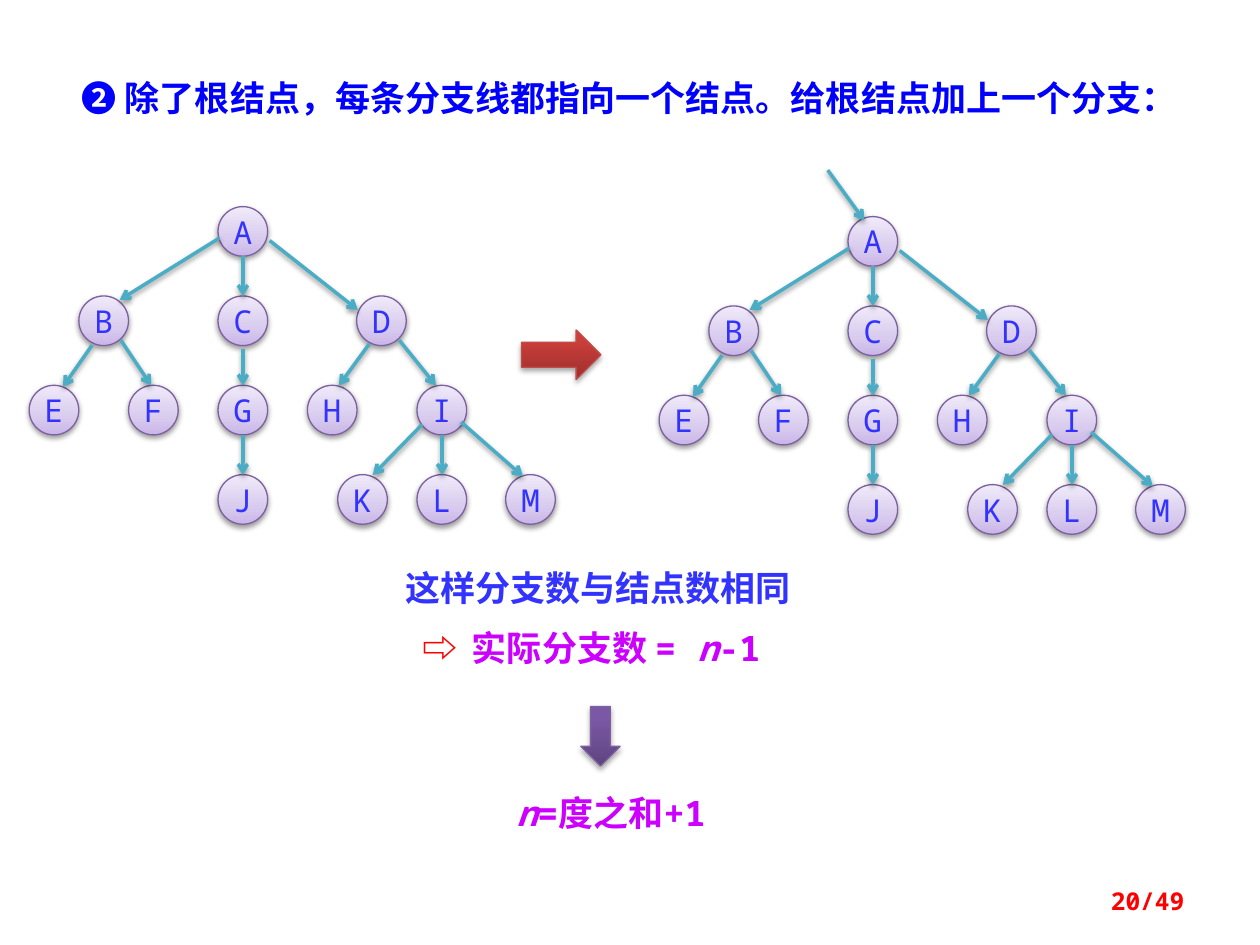
"""Build a slide that shows why a tree's node count is its degree sum plus one."""
from lxml import etree
from pptx import Presentation
from pptx.dml.color import RGBColor
from pptx.enum.shapes import MSO_CONNECTOR, MSO_SHAPE
from pptx.enum.text import MSO_ANCHOR, MSO_AUTO_SIZE, PP_ALIGN
from pptx.oxml.ns import qn
from pptx.util import Pt

OVAL, RIGHT_ARROW, DOWN_ARROW = MSO_SHAPE.OVAL, MSO_SHAPE.RIGHT_ARROW, MSO_SHAPE.DOWN_ARROW
STRAIGHT = MSO_CONNECTOR.STRAIGHT
LEFT, CENTER, RIGHT = PP_ALIGN.LEFT, PP_ALIGN.CENTER, PP_ALIGN.RIGHT
TOP, MIDDLE = MSO_ANCHOR.TOP, MSO_ANCHOR.MIDDLE
FONT = "Noto Sans Mono"
COLORS = {
    "title": "0000FF", "text": "3333FF", "formula": "CC00FF", "accent": "FF0000",
    "edge": "4BACC6", "purple": "7D60A0", "red": "BF4C48", "black": "000000",
}
GRADIENTS = {
    "node": [(0, "C9B5E8"), (35, "D8CBEE"), (100, "F0EAF9")],
    "red": [(0, "9C2F2D"), (80, "CB3E3A"), (100, "CE3B37")],
    "purple": [(0, "5F4480"), (80, "7B58A6"), (100, "7C57A8")],
}
NODE_SIZE, ROOT_TOP, ROW_STEP = 28.35, 118.1, 51.05
LEVELS = [
    {"A": 124.6},
    {"B": 45.1, "C": 124.6, "D": 203.8},
    {"E": 16.7, "F": 73.5, "G": 124.6, "H": 175.7, "I": 238.3},
    {"J": 124.6, "K": 193, "L": 238.3, "M": 289},
]
EDGES = [
    (125.3, 136.1, 68.4, 171.4), (138.8, 146.4, 138.8, 169.2), (154.1, 137.5, 204.5, 177.1),
    (52.6, 197.3, 36, 221), (69.1, 194.4, 86.4, 220.3), (138.8, 199.4, 138.8, 220.3),
    (211, 196.6, 193.7, 220.3), (228.2, 194.4, 249.1, 220.3), (138.8, 248.5, 138.8, 271.4),
    (241.2, 242.6, 213.1, 271.4), (252.6, 248.5, 252.6, 271.4), (263.5, 241.2, 298.8, 272.2),
]
ROOT_EDGE = (113, 91.5, 133.9, 120.3)


def rgb(name):
    """Return the named colour."""
    return RGBColor.from_string(COLORS[name])


def add_shadow(sp, alpha=38, dist=1.6):
    """Give a shape or connector a soft shadow straight below it."""
    effects = etree.SubElement(sp._element.spPr, qn("a:effectLst"))
    shadow = etree.SubElement(effects, qn("a:outerShdw"), blurRad=str(Pt(3.1)),
                              dist=str(Pt(dist)), dir="5400000", rotWithShape="0")
    color = etree.SubElement(shadow, qn("a:srgbClr"), val=COLORS["black"])
    etree.SubElement(color, qn("a:alpha"), val=str(alpha * 1000))


def add_gradient_shape(shapes, kind, box, gradient, line, alpha=38, dist=1.6):
    """Add a preset shape with an upward gradient, thin outline and shadow."""
    sp = shapes.add_shape(kind, *(Pt(v) for v in box))
    sp.fill.gradient()
    sp.fill.gradient_angle = 90
    stops = sp._element.spPr.find(".//" + qn("a:gsLst"))
    for stop in list(stops):
        stops.remove(stop)
    for pos, color in GRADIENTS[gradient]:
        stop = etree.SubElement(stops, qn("a:gs"), pos=str(pos * 1000))
        etree.SubElement(stop, qn("a:srgbClr"), val=color)
    sp.line.color.rgb = rgb(line)
    sp.line.width = Pt(0.75)
    add_shadow(sp, alpha, dist)
    return sp


def format_run(r, color, size=20, bold=True, italic=False):
    """Set the font of a run."""
    r.font.name, r.font.size = FONT, Pt(size)
    r.font.bold, r.font.italic = bold, italic
    r.font.color.rgb = rgb(color)


def add_runs(p, runs):
    """Append (text, colour, italic) runs to a paragraph."""
    for text, color, italic in runs:
        r = p.add_run()
        r.text = text
        format_run(r, color, italic=italic)


def add_node(shapes, label, x, y):
    """Add a labelled tree node."""
    sp = add_gradient_shape(shapes, OVAL, (x, y, NODE_SIZE, NODE_SIZE), "node", "purple")
    tf = sp.text_frame
    tf.word_wrap = False
    tf.vertical_anchor = MIDDLE
    tf.text = label
    p = tf.paragraphs[0]
    p.alignment = CENTER
    format_run(p.runs[0], "text", 18, bold=False)


def add_edge(shapes, x1, y1, x2, y2):
    """Add an arrow from a parent to a child."""
    cxn = shapes.add_connector(STRAIGHT, Pt(x1), Pt(y1), Pt(x2), Pt(y2))
    cxn.line.color.rgb = rgb("edge")
    cxn.line.width = Pt(2)
    etree.SubElement(cxn.line._get_or_add_ln(), qn("a:tailEnd"), type="arrow")
    add_shadow(cxn)


def add_tree(s, edges, dx=0, dy=0):
    """Add the whole tree as one group, shifted by dx and dy."""
    shapes = s.shapes.add_group_shape().shapes
    for depth, level in enumerate(LEVELS):
        for label, x in level.items():
            add_node(shapes, label, x + dx, ROOT_TOP + depth * ROW_STEP + dy)
    for x1, y1, x2, y2 in edges:
        add_edge(shapes, x1 + dx, y1 + dy, x2 + dx, y2 + dy)


def place_text(sp, box, anchor, align):
    """Move a text shape and set its frame; return its first paragraph."""
    sp.left, sp.top, sp.width, sp.height = (Pt(v) for v in box)
    tf = sp.text_frame
    tf.word_wrap = True
    tf.auto_size = MSO_AUTO_SIZE.NONE
    tf.vertical_anchor = anchor
    p = tf.paragraphs[0]
    p.alignment = align
    return p


def add_text(s, box, runs, anchor=MIDDLE, align=LEFT):
    """Add a text box with one paragraph and return its frame."""
    sp = s.shapes.add_textbox(0, 0, 0, 0)
    add_runs(place_text(sp, box, anchor, align), runs)
    return sp.text_frame


def add_conclusion(s):
    """Add the two lines that compare branches with nodes."""
    tf = add_text(s, (224.6, 320.4, 315.4, 67.7),
                  [("这样分支数与结点数相同", "text", False)], TOP)
    p = tf.add_paragraph()
    p.space_before = Pt(10)
    pPr = p._p.get_or_add_pPr()
    pPr.set("marL", str(Pt(38)))
    pPr.set("indent", str(Pt(-28.5)))
    add_runs(p, [("⇨\t", "accent", False), ("实际分支数 = ", "formula", False),
                 ("n", "formula", True), ("-1", "formula", False)])


def main():
    """Build and save the slide."""
    prs = Presentation()
    prs.slide_width, prs.slide_height = Pt(720), Pt(540)
    s = prs.slides.add_slide(prs.slide_layouts[5])
    p = place_text(s.shapes.title, (39.6, 39.6, 658, 31.7), MIDDLE, LEFT)
    p.text = "❷ 除了根结点，每条分支线都指向一个结点。给根结点加上一个分支："
    format_run(p.runs[0], "title")

    add_tree(s, EDGES)
    add_gradient_shape(s.shapes, RIGHT_ARROW, (298, 188.6, 45.4, 28.35), "red", "red", 35, 1.8)
    add_tree(s, EDGES + [ROOT_EDGE], 360, 5.7)

    add_conclusion(s)
    add_gradient_shape(s.shapes, DOWN_ARROW, (331.9, 403.7, 22.5, 34), "purple", "purple", 35, 1.8)
    add_text(s, (253.4, 448.6, 191.5, 31.7),
             [("n", "formula", True), ("=度之和+1", "formula", False)], align=CENTER)
    tf = add_text(s, (516.2, 500.4, 167.8, 28.8), [("20/49", "accent", False)], align=RIGHT)
    tf.paragraphs[0].runs[0].font.size = Pt(14)
    prs.save("out.pptx")


if __name__ == "__main__":
    main()
